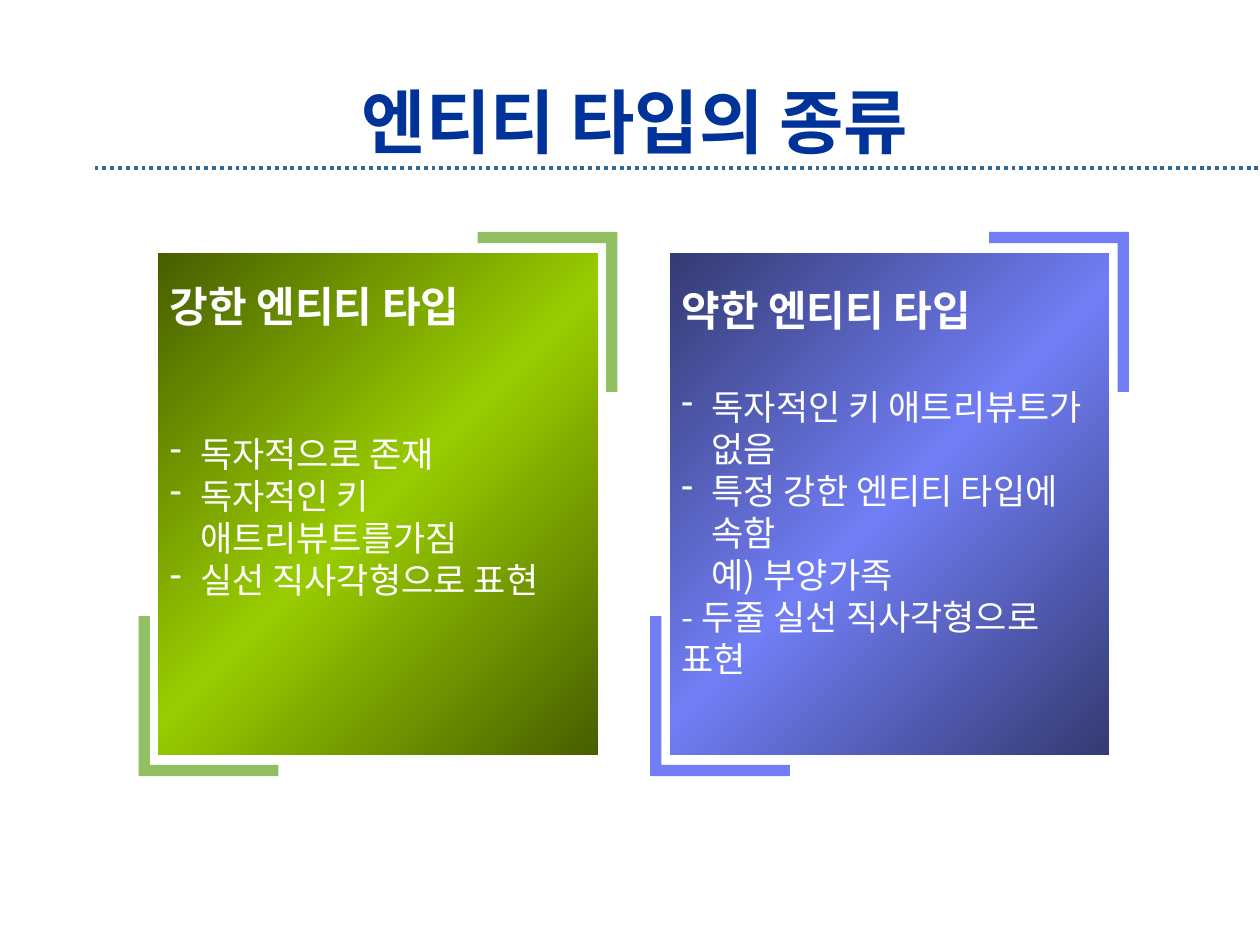
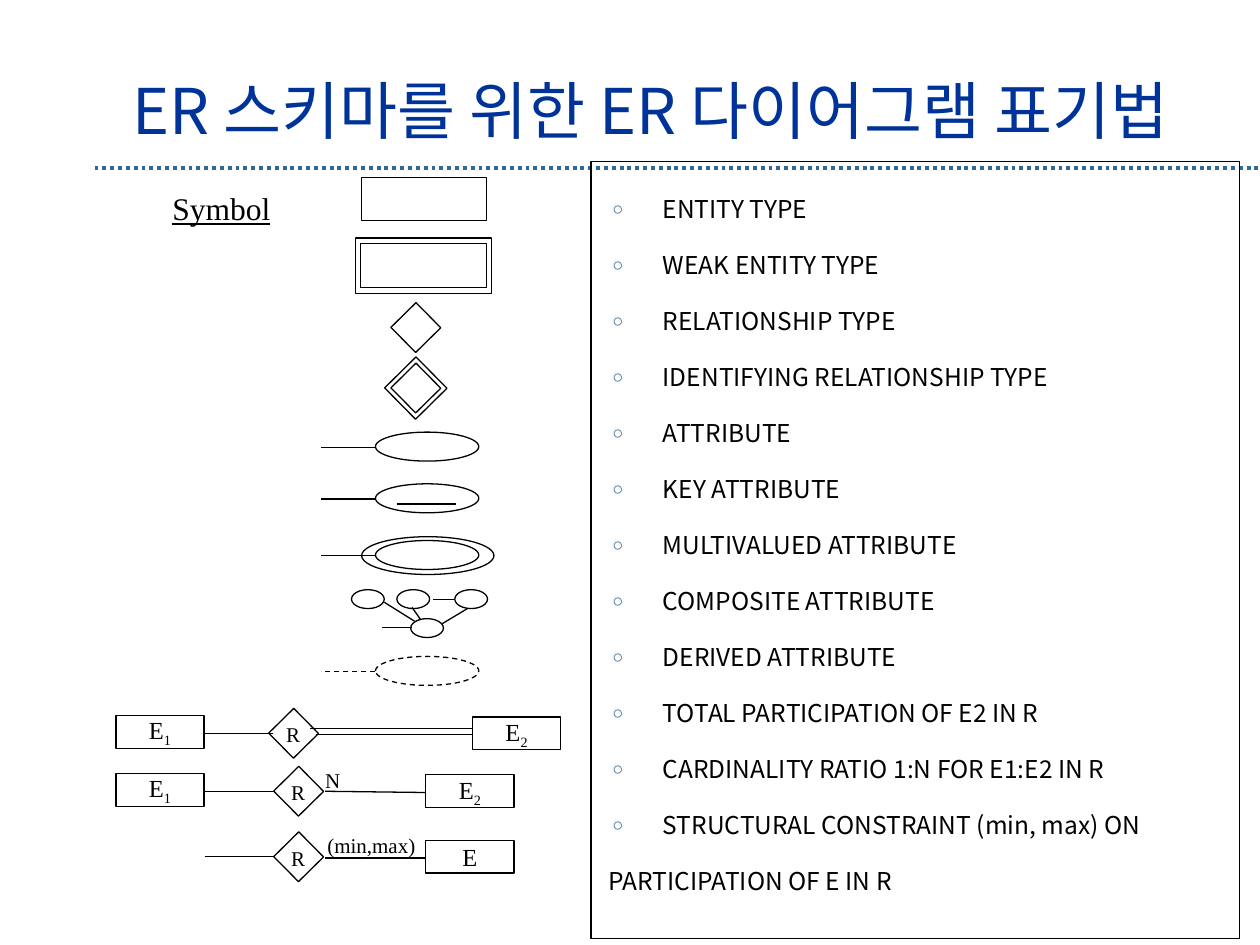
from copy import deepcopy
from typing import NamedTuple, Optional

from lxml import etree
from pptx import Presentation
from pptx.dml.color import RGBColor
from pptx.enum.dml import MSO_LINE
from pptx.enum.shapes import MSO_CONNECTOR, MSO_SHAPE
from pptx.enum.text import MSO_ANCHOR, MSO_AUTO_SIZE, PP_ALIGN
from pptx.oxml.ns import qn
from pptx.util import Emu, Inches, Pt

RECTANGLE, OVAL = MSO_SHAPE.RECTANGLE, MSO_SHAPE.OVAL
STRAIGHT = MSO_CONNECTOR.STRAIGHT
DASH, DOTS = MSO_LINE.DASH, MSO_LINE.ROUND_DOT
LEFT, CENTER, RIGHT = PP_ALIGN.LEFT, PP_ALIGN.CENTER, PP_ALIGN.RIGHT
TOP, MIDDLE = MSO_ANCHOR.TOP, MSO_ANCHOR.MIDDLE

COLUMNS, ROWS = 100, 75
CELL = Inches(10) // COLUMNS
SANS, SERIF = "Noto Sans CJK KR", "Times New Roman"
BLACK, WHITE, NAVY, STEEL = "000000", "FFFFFF", "003399", "336699"
DIAMOND_SIDE, DIAMOND_TURN = 2.8, 45.4


class Box(NamedTuple):
    """A place on the grid of 100 columns and 75 rows."""
    column: float
    row: float
    columns: float
    rows: float


class Item(NamedTuple):
    text: str
    bullet: str = ""
    margin: float = 0


class Panel(NamedTuple):
    column: float
    bright: str
    dark: str
    bracket: str
    heading: str
    heading_gap: float
    text_top: float
    items: list[Item]


class Participation(NamedTuple):
    """One row of the notation: entity, relationship, entity."""
    row: float
    diamond_column: float
    left_number: Optional[str]
    right_column: float
    right_number: str
    links: list[tuple]


PANELS = [
    Panel(12.5, "99CC00", "475E00", "91BF63", "강한 엔티티 타입", 57.6, 2.3, [
        Item("독자적으로 존재", "-", 2.4),
        Item("독자적인 키 애트리뷰트를가짐", "-", 2.4),
        Item("실선 직사각형으로 표현", "-", 2.4),
    ]),
    Panel(53.1, "717EF5", "343A71", "717EF5", "약한 엔티티 타입", 28.8, 2.6, [
        Item("독자적인 키 애트리뷰트가 없음", "-", 2.4),
        Item("특정 강한 엔티티 타입에 속함", "-", 2.4),
        Item("예) 부양가족", "", 2.4),
        Item("- 두줄 실선 직사각형으로 표현"),
    ]),
]
MEANINGS = [
    "ENTITY TYPE", "WEAK ENTITY TYPE", "RELATIONSHIP TYPE",
    "IDENTIFYING RELATIONSHIP TYPE", "ATTRIBUTE", "KEY ATTRIBUTE",
    "MULTIVALUED ATTRIBUTE", "COMPOSITE ATTRIBUTE", "DERIVED ATTRIBUTE",
    "TOTAL PARTICIPATION OF E2 IN R", "CARDINALITY RATIO 1:N FOR E1:E2 IN R",
    "STRUCTURAL CONSTRAINT (min, max) ON",
]
ENTITY_BOXES = [Box(28.7, 14.1, 9.9, 3.4), Box(28.6, 19.3, 10, 3.5), Box(28.2, 18.9, 10.8, 4.4)]
DIAMONDS = [(31.6, 24.6, DIAMOND_SIDE), (31.6, 29.4, DIAMOND_SIDE), (31.25, 29.05, 3.5)]
ATTRIBUTES = [(34.3, None), (38.4, None), (42.9, None), (52.1, DASH)]
COMPOSITE_OVALS = [(27.9, 46.8), (31.5, 46.8), (36.1, 46.8), (32.6, 49.1)]
COMPOSITE_LINKS = [
    (32.7, 49.8, 30.3, 49.8), (30.5, 47.8, 32.9, 49.3), (32.7, 48.2, 33.4, 49.2),
    (35.1, 49.5, 37.1, 48.3), (34.4, 47.6, 36, 47.6),
]
PARTICIPATIONS = [
    Participation(56.8, 21.9, "1", 37.5, "2",
                  [(16.3, 58.2, 21.7, 58.2), (24.6, 57.8, 37.5, 57.8), (25.1, 58.3, 37.5, 58.3)]),
    Participation(61.4, 22.3, "1", 33.8, "2",
                  [(16.3, 62.8, 21.7, 62.8), (25.8, 62.8, 33.8, 62.9)]),
    Participation(66.6, 22.3, None, 33.8, "",
                  [(16.3, 68, 21.7, 68), (25.8, 68.1, 33.8, 68.1)]),
]


def cells(count: float) -> Emu:
    return Emu(round(count * CELL))


def color(hex_value: str) -> RGBColor:
    return RGBColor.from_string(hex_value)


def place(shape, box: Box) -> None:
    shape.left, shape.top, shape.width, shape.height = map(cells, box)


def style(paragraph, size: float, font: str = SANS, hex_value: str = BLACK,
          bold: bool = False, underline: bool = False) -> None:
    for run in paragraph.runs:
        run.font.name, run.font.size = font, Pt(size)
        run.font.bold, run.font.underline = bold, underline
        run.font.color.rgb = color(hex_value)
        east_asian = etree.SubElement(run.font._element, qn("a:ea"))
        east_asian.set("typeface", font)


def set_bullet(paragraph, character: str, hex_value: str, percent: int,
               margin: float, hang: float) -> None:
    """Indent the paragraph and give it a bullet, or none for an empty character."""
    properties = paragraph._p.get_or_add_pPr()
    properties.set("marL", str(cells(margin)))
    properties.set("indent", str(-cells(hang) if character else 0))
    if not character:
        etree.SubElement(properties, qn("a:buNone"))
        return
    bullet_color = etree.SubElement(properties, qn("a:buClr"))
    etree.SubElement(bullet_color, qn("a:srgbClr")).set("val", hex_value)
    etree.SubElement(properties, qn("a:buSzPct")).set("val", str(percent * 1000))
    etree.SubElement(properties, qn("a:buChar")).set("char", character)


def add_line(slide, ends: tuple, hex_value: str = BLACK, width: float = 0.75, dash=None):
    connector = slide.shapes.add_connector(STRAIGHT, *map(cells, ends))
    connector.line.color.rgb = color(hex_value)
    connector.line.width = Pt(width)
    if dash:
        connector.line.dash_style = dash
    etree.SubElement(connector.element.spPr, qn("a:effectLst"))
    return connector


def add_outline(slide, kind, box: Box, turn: float = 0, dash=None):
    shape = slide.shapes.add_shape(kind, *map(cells, box))
    shape.shadow.inherit = False
    shape.fill.background()
    shape.line.color.rgb = color(BLACK)
    shape.line.width = Pt(0.75)
    shape.rotation = turn
    if dash:
        shape.line.dash_style = dash
    return shape


def add_label(slide, text: str, box: Box, size: float = 12, align=LEFT,
              inset: float = 0.5, underline: bool = False) -> None:
    frame = slide.shapes.add_textbox(*map(cells, box)).text_frame
    frame.word_wrap = False
    frame.auto_size = MSO_AUTO_SIZE.SHAPE_TO_FIT_TEXT
    frame.margin_top = frame.margin_bottom = cells(inset)
    frame.text = text
    paragraph = frame.paragraphs[0]
    paragraph.alignment = align
    style(paragraph, size, SERIF, underline=underline)


def set_title(slide, text: str, box: Box, size: float, bold: bool, spacing: float) -> None:
    title = slide.shapes.title
    place(title, box)
    frame = title.text_frame
    frame.text = text
    frame.auto_size = MSO_AUTO_SIZE.NONE
    frame.vertical_anchor = MIDDLE
    paragraph = frame.paragraphs[0]
    paragraph.alignment, paragraph.line_spacing = CENTER, spacing
    style(paragraph, size, hex_value=NAVY, bold=bold)


def add_bracket(slide, box: Box, hex_value: str, turn: float) -> None:
    """Draw an L-shaped corner, opening up and to the right before it is turned."""
    left, top, width, height = box
    right, bottom, arm = left + width, top + height, 0.9
    start, *corners = [(cells(x), cells(y)) for x, y in [
        (left + arm, bottom - arm), (left + arm, top), (left, top),
        (left, bottom), (right, bottom), (right, bottom - arm)]]
    builder = slide.shapes.build_freeform(*start)
    builder.add_line_segments(corners, close=True)
    shape = builder.convert_to_shape()
    shape.shadow.inherit = False
    shape.fill.solid()
    shape.fill.fore_color.rgb = color(hex_value)
    shape.line.fill.background()
    shape.rotation = turn


def fill_gradient(shape, hex_values: list[str]) -> None:
    shape.fill.gradient()
    shape.fill.gradient_angle = 315
    stop_list = shape.element.xpath(".//a:gsLst")[0]
    while len(stop_list) < len(hex_values):
        stop_list.append(deepcopy(stop_list[0]))
    for index, (stop, value) in enumerate(zip(shape.fill.gradient_stops, hex_values)):
        stop.position = index / (len(hex_values) - 1)
        stop.color.rgb = color(value)


def add_panel(slide, panel: Panel) -> None:
    box = Box(panel.column, 20, 35, 40)
    width, height, offset = 11.1, 12.7, 1.6
    add_bracket(slide, Box(box.column - 1.5, box.row + box.rows + offset - height, width, height),
                panel.bracket, 0)
    add_bracket(slide, Box(box.column + box.columns + 1.5 - width, box.row - offset, width, height),
                panel.bracket, 180)
    shape = add_outline(slide, RECTANGLE, box)
    shape.line.color.rgb = color(WHITE)
    fill_gradient(shape, [panel.dark, panel.bright, panel.dark])
    frame = shape.text_frame
    frame.word_wrap, frame.vertical_anchor = True, TOP
    frame.margin_top = cells(panel.text_top)
    frame.text = panel.heading
    heading = frame.paragraphs[0]
    heading.alignment, heading.line_spacing = LEFT, Pt(28.8)
    heading.space_after = Pt(panel.heading_gap)
    style(heading, 24, hex_value=WHITE, bold=True)
    for item in panel.items:
        paragraph = frame.add_paragraph()
        paragraph.text = item.text
        paragraph.alignment, paragraph.line_spacing = LEFT, Pt(24)
        set_bullet(paragraph, item.bullet, WHITE, 100, item.margin, item.margin)
        style(paragraph, 20, hex_value=WHITE)


def fill_meanings(body) -> None:
    place(body, Box(46.9, 12.8, 51.5, 61.7))
    body.line.color.rgb = color(BLACK)
    body.line.width = Pt(0.75)
    frame = body.text_frame
    frame.auto_size = MSO_AUTO_SIZE.NONE
    items = [Item(text, "○", 4.7) for text in MEANINGS]
    items.append(Item("PARTICIPATION OF E IN R", "", 0.4))
    frame.text = "\n".join(item.text for item in items)
    for paragraph, item in zip(frame.paragraphs, items):
        paragraph.line_spacing, paragraph.space_before = Pt(32), Pt(0)
        set_bullet(paragraph, item.bullet, STEEL, 75, item.margin, 4)
        style(paragraph, 14)


def add_diamond(slide, column: float, row: float, side: float = DIAMOND_SIDE) -> None:
    add_outline(slide, RECTANGLE, Box(column, row, side, side), DIAMOND_TURN)


def add_entity(slide, column: float, row: float, number: str) -> None:
    frame = add_outline(slide, RECTANGLE, Box(column, row, 7, 2.6)).text_frame
    frame.word_wrap, frame.vertical_anchor = False, MIDDLE
    frame.text = "E"
    paragraph = frame.paragraphs[0]
    paragraph.alignment = CENTER
    if number:
        subscript = paragraph.add_run()
        subscript.text = number
        subscript.font._element.set("baseline", "-25000")
    style(paragraph, 14, SERIF)


def add_symbols(slide) -> None:
    add_label(slide, "Symbol", Box(12.7, 15, 9.8, 3), 18, inset=0, underline=True)
    for box in ENTITY_BOXES:
        add_outline(slide, RECTANGLE, box)
    for column, row, side in DIAMONDS:
        add_diamond(slide, column, row, side)
    for row, dash in ATTRIBUTES:
        add_outline(slide, OVAL, Box(29.8, row, 8.2, 2.3), dash=dash)
        add_line(slide, (29.8, row + 1.2, 25.5, row + 1.2), dash=dash)
    add_line(slide, (31.5, 40, 36.2, 40))
    add_outline(slide, OVAL, Box(28.7, 42.6, 10.5, 3))
    for column, row in COMPOSITE_OVALS:
        add_outline(slide, OVAL, Box(column, row, 2.6, 1.5))
    for ends in COMPOSITE_LINKS:
        add_line(slide, ends)


def add_participation(slide, notation: Participation) -> None:
    row, diamond = notation.row, notation.diamond_column
    for ends in notation.links:
        add_line(slide, ends)
    add_diamond(slide, diamond, row)
    add_label(slide, "R", Box(diamond - 0.2, row, 3.1, 3), align=RIGHT)
    if notation.left_number:
        add_entity(slide, 9.2, row, notation.left_number)
    add_entity(slide, notation.right_column, row + 0.1, notation.right_number)


def main() -> None:
    presentation = Presentation()
    presentation.slide_width, presentation.slide_height = cells(COLUMNS), cells(ROWS)
    layouts = presentation.slide_layouts

    kinds = presentation.slides.add_slide(layouts[5])
    title_rule = add_line(kinds, (7.5, 13.3, COLUMNS, 13.3), STEEL, 2.25, DOTS)
    presentation.slide_master.shapes.element.append(title_rule.element)
    set_title(kinds, "엔티티 타입의 종류", Box(7.5, 6.7, 85.8, 5.8), 40, True, 1)
    for panel in PANELS:
        add_panel(kinds, panel)

    notations = presentation.slides.add_slide(layouts[1])
    set_title(notations, "ER 스키마를 위한 ER 다이어그램 표기법", Box(3.2, 2.8, 96.8, 9.9), 36, False, 1.3)
    fill_meanings(notations.placeholders[1])
    add_symbols(notations)
    for notation in PARTICIPATIONS:
        add_participation(notations, notation)
    add_label(notations, "N", Box(24.8, 60.4, 3.2, 3), align=RIGHT)
    add_label(notations, "(min,max)", Box(25, 65.6, 9, 3))
    presentation.save("out.pptx")


if __name__ == "__main__":
    main()
